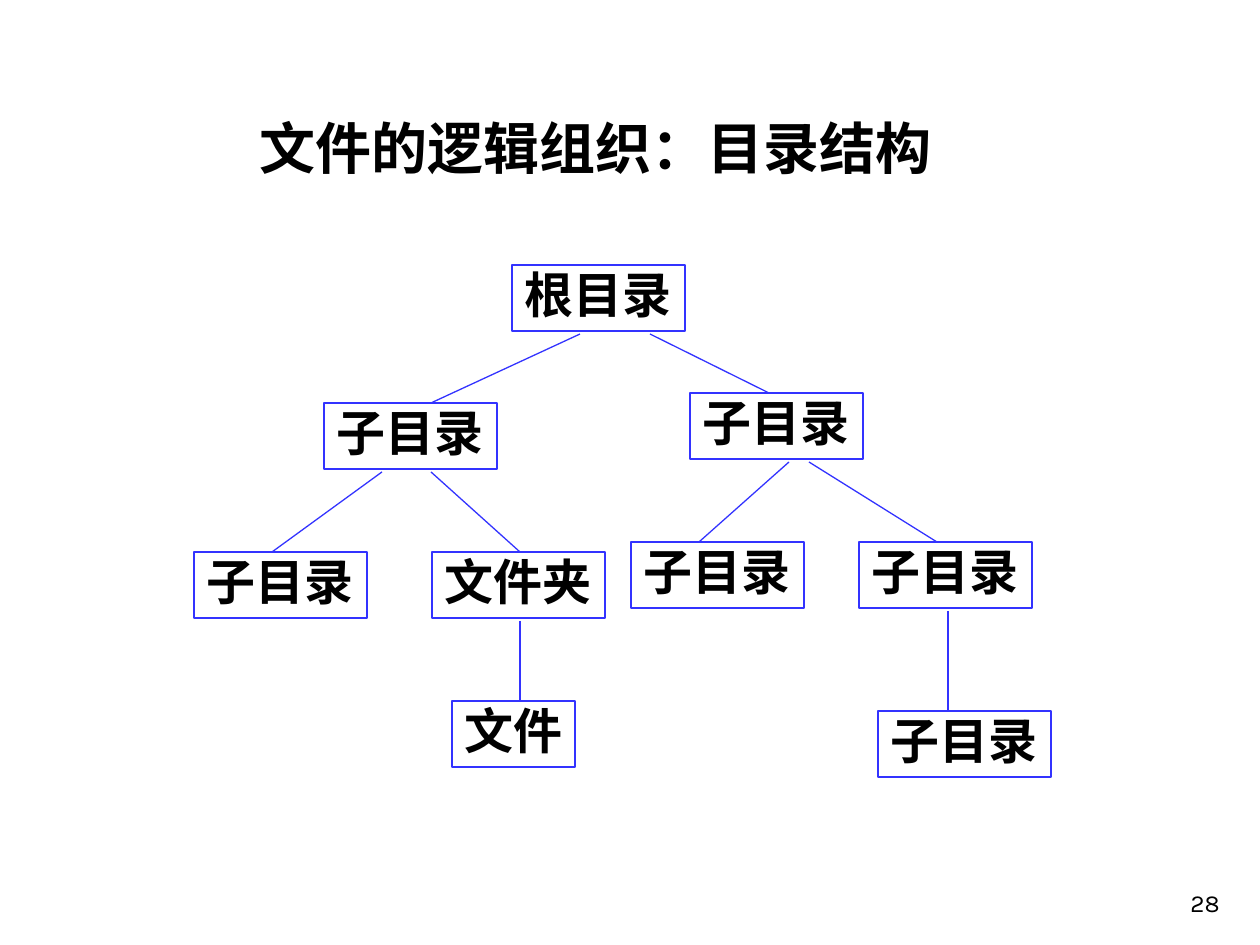
from lxml.etree import SubElement
from pptx import Presentation
from pptx.dml.color import RGBColor
from pptx.enum.shapes import MSO_CONNECTOR, MSO_SHAPE
from pptx.enum.text import MSO_ANCHOR, MSO_AUTO_SIZE, PP_ALIGN
from pptx.oxml.ns import qn
from pptx.util import Emu, Pt

COLORS = {"text": "000000", "line": "3333FF"}
HAN = "Noto Sans CJK SC"
WIDE, HIGH = 173, 66


def px(*sizes):
    return [Emu(round(size * 914400 / 126)) for size in sizes]


def write(shape, words, font, frame, para):
    body = shape.text_frame
    body.text = words
    first = body.paragraphs[0]
    run = first.runs[0]
    for part, values in ((body, frame), (first, para), (run.font, font)):
        for name, value in values.items():
            setattr(part, name, value)
    run.font.color.rgb = RGBColor.from_string(COLORS["text"])
    SubElement(run.font._element, qn("a:ea"), typeface=font["name"])


deck = Presentation()
deck.slide_width, deck.slide_height = px(1260, 945)
slide = deck.slides.add_slide(deck.slide_layouts[5])

title = slide.shapes.title
title.left, title.top, title.width, title.height = px(144, 115, 903, 73)
middle = {
    "vertical_anchor": MSO_ANCHOR.MIDDLE,
    "auto_size": MSO_AUTO_SIZE.NONE,
    "word_wrap": True,
}
write(
    title,
    "文件的逻辑组织：目录结构",
    {"size": Pt(32), "bold": True, "name": HAN},
    middle,
    {"alignment": PP_ALIGN.CENTER, "line_spacing": 0.9},
)

nodes = [
    ("根目录", 512, 265, WIDE),
    ("子目录", 324, 403, WIDE),
    ("子目录", 690, 393, WIDE),
    ("子目录", 194, 552, WIDE),
    ("文件夹", 432, 552, WIDE),
    ("子目录", 631, 542, WIDE),
    ("子目录", 859, 542, WIDE),
    ("文件", 452, 701, 123),
    ("子目录", 878, 711, WIDE),
]
for words, left, top, width in nodes:
    node = slide.shapes.add_shape(MSO_SHAPE.RECTANGLE, *px(left, top, width, HIGH))
    node.shadow.inherit = False
    node.fill.background()
    node.line.color.rgb = RGBColor.from_string(COLORS["line"])
    node.line.width = Pt(0.75)
    write(
        node,
        words,
        {"size": Pt(28), "bold": True, "name": HAN},
        middle | {"word_wrap": False},
        {"alignment": PP_ALIGN.LEFT, "line_spacing": 0.9},
    )

links = [
    (580, 334, 431, 403),
    (650, 334, 769, 393),
    (382, 472, 272, 552),
    (431, 472, 520, 552),
    (789, 462, 699, 542),
    (809, 462, 937, 542),
    (520, 621, 520, 701),
    (948, 611, 948, 711),
]
for ends in links:
    link = slide.shapes.add_connector(MSO_CONNECTOR.STRAIGHT, *px(*ends))
    link.line.color.rgb = RGBColor.from_string(COLORS["line"])
    link.line.width = Pt(0.75)
    SubElement(link._element.spPr, qn("a:effectLst"))

number = slide.shapes.add_textbox(*px(970, 861, 262, 63))
write(
    number,
    "28",
    {"size": Pt(14), "name": "Karla"},
    {"vertical_anchor": MSO_ANCHOR.BOTTOM, "word_wrap": True},
    {"alignment": PP_ALIGN.RIGHT},
)

deck.save("out.pptx")
